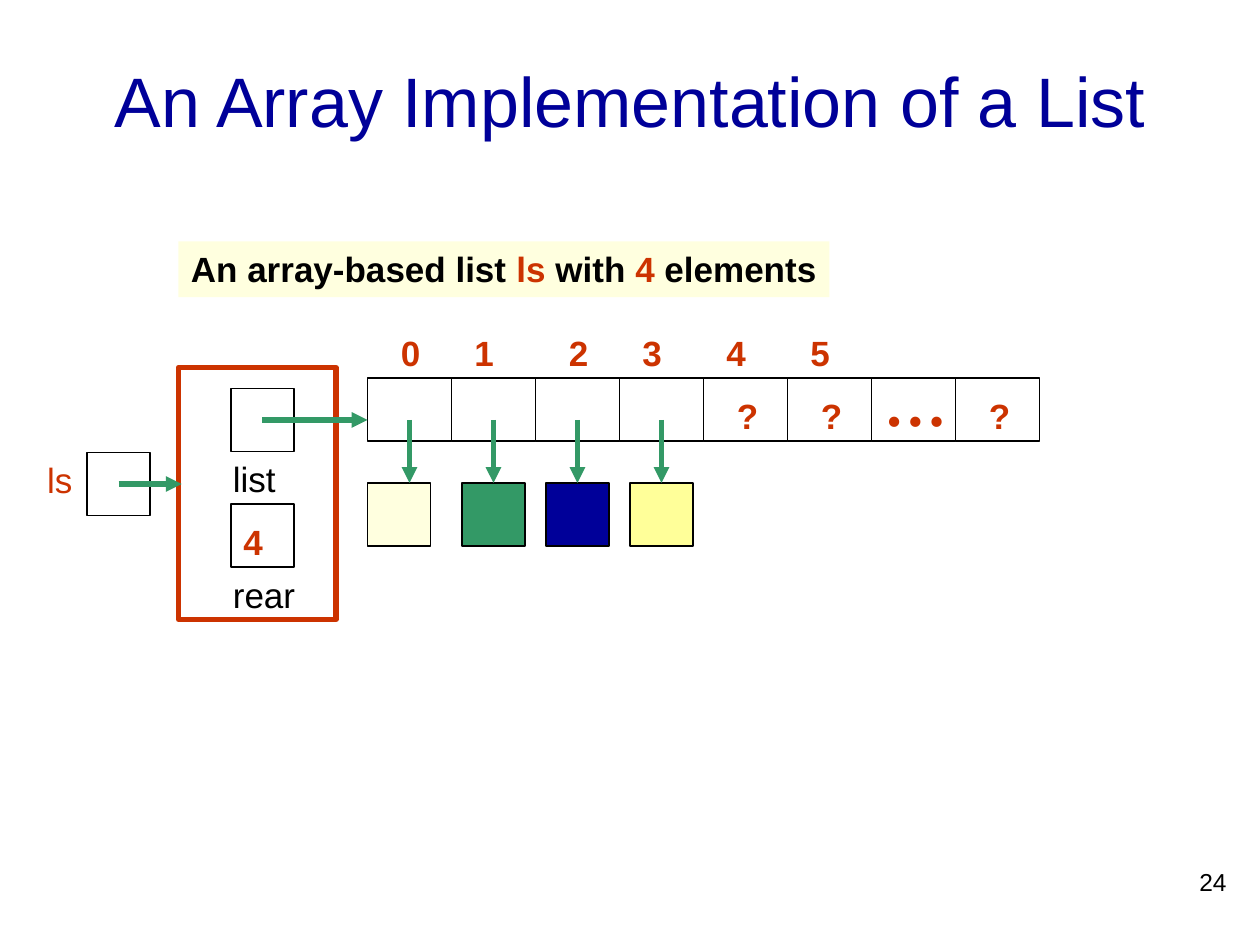
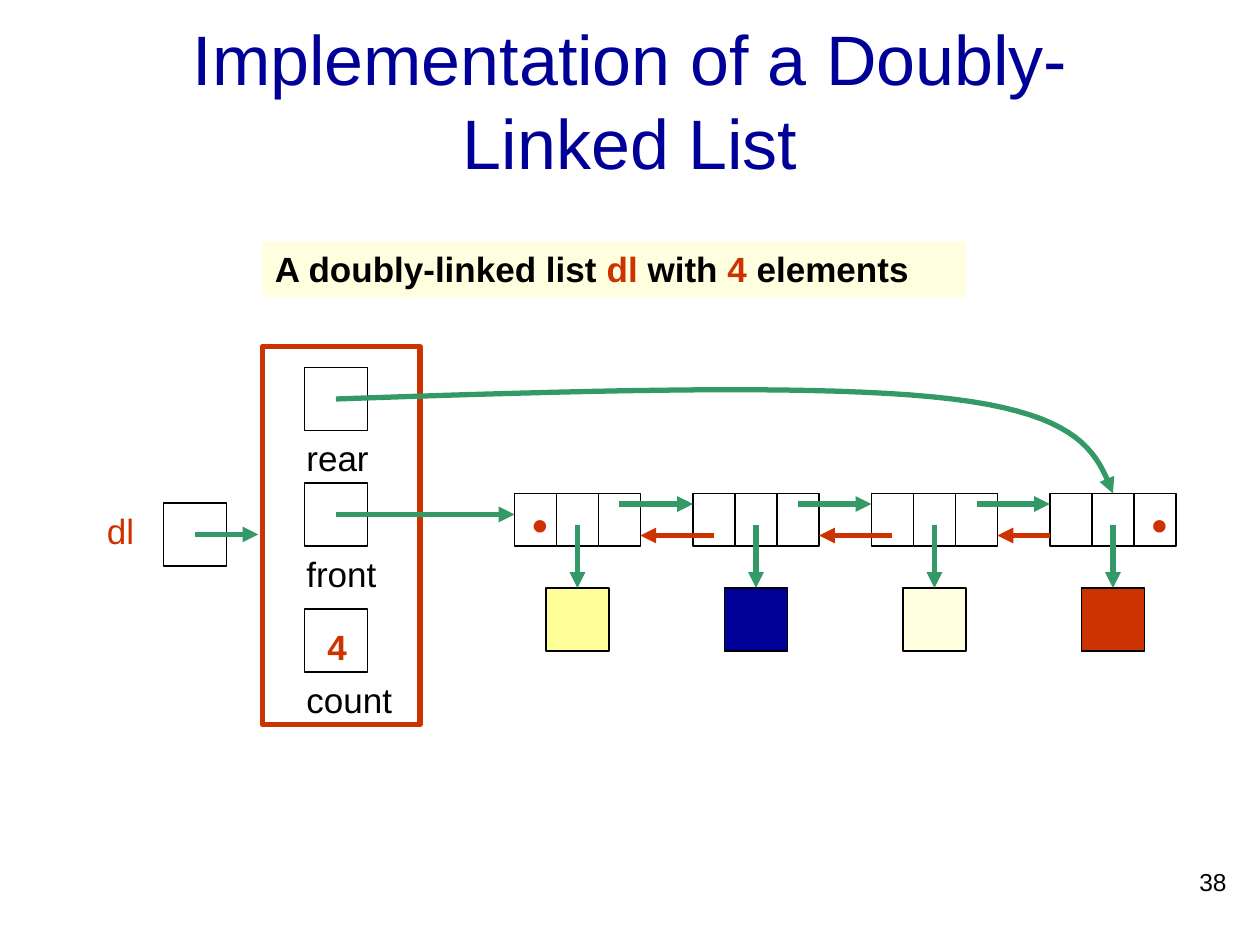
from dataclasses import dataclass
from pptx import Presentation, util as u
from pptx.dml.color import RGBColor
from pptx.enum import shapes, text as t
from pptx.oxml.ns import qn
from lxml import etree


@dataclass(frozen=True)
class Theme:
    navy: str = "000099"
    red: str = "CC3300"
    green: str = "339966"
    cream: str = "FFFFDF"
    yellow: str = "FFFF99"
    black: str = "000000"
    sans: str = "Arial"
    serif: str = "Times New Roman"
    title: int = 40
    body: int = 20
    small: int = 14
    dots: int = 36
    point: int = 60
    thin: float = 0.75
    thick: float = 3


th = Theme()
deck = Presentation()
deck.slide_width, deck.slide_height = u.Inches(10), u.Inches(7.5)
unit = deck.slide_width / 120


def put(page, x, y, w, h, text="", fill=None, line=None, width=th.thin, size=th.body,
        font=th.sans, color=th.black, bold=False, align=t.PP_ALIGN.LEFT, anchor=t.MSO_ANCHOR.TOP):
    area = [round(n * unit) for n in (x, y, w, h)]
    if fill or line:
        box = page.shapes.add_shape(shapes.MSO_SHAPE.RECTANGLE, *area)
        box.shadow.inherit = False
    else:
        box = page.shapes.add_textbox(*area)
    if fill:
        box.fill.solid()
        box.fill.fore_color.rgb = RGBColor.from_string(fill)
    else:
        box.fill.background()
    if line:
        box.line.color.rgb = RGBColor.from_string(line)
        box.line.width = u.Pt(width)
    else:
        box.line.fill.background()
    if text:
        frame = box.text_frame
        frame.word_wrap = True
        frame.vertical_anchor = anchor
        para = frame.paragraphs[0]
        para.alignment = align
        for i, part in enumerate(text.split("|")):
            run = para.add_run()
            run.text = part
            run.font.name, run.font.size, run.font.bold = font, u.Pt(size), bold
            run.font.color.rgb = RGBColor.from_string(th.red if i % 2 else color)


def wire(page, *dots, color=th.green):
    spots = [(round(x * unit), round(y * unit)) for x, y in dots]
    if len(spots) == 2:
        item = page.shapes.add_connector(shapes.MSO_CONNECTOR.STRAIGHT, *spots[0], *spots[1])
    else:
        pen = page.shapes.build_freeform(*spots[0])
        pen.add_line_segments(spots[1:], close=False)
        item = pen.convert_to_shape()
        item.fill.background()
    item.line.color.rgb = RGBColor.from_string(color)
    item.line.width = u.Pt(th.thick)
    etree.SubElement(item.line._ln, qn("a:tailEnd"), type="triangle")
    etree.SubElement(item._element.spPr, qn("a:effectLst"))


pages = []
heads = [
    ("An Array Implementation of a List", "An array-based list |ls| with |4| elements", 17, 62, "24"),
    ("Implementation of a Doubly-Linked List", "A doubly-linked list |dl| with |4| elements", 25, 67, "38"),
]
for title, note, left, wide, num in heads:
    page = deck.slides.add_slide(deck.slide_layouts[6])
    put(page, 9, 2, 102, 15, title, size=th.title, color=th.navy,
        align=t.PP_ALIGN.CENTER, anchor=t.MSO_ANCHOR.MIDDLE)
    put(page, left, 23, wide, 5.3, note, fill=th.cream, bold=True)
    put(page, 93, 82, 25, 6, num, size=th.small, align=t.PP_ALIGN.RIGHT)
    pages.append(page)
array, chain = pages

frames = [
    (array, 17, 35, 24, 22, [("list", 37), ("rear", 48)], (22, 49)),
    (chain, 25, 33, 36, 29, [("rear", 35), ("front", 46), ("count", 58)], (30, 59)),
]
for page, x, y, h, col, slots, count in frames:
    put(page, x, y, 15, h, line=th.red, width=th.thick)
    for name, top in slots:
        put(page, col, top, 6, 6, line=th.black)
        put(page, col - 1, top + 6, 11, 5.3, name)
    put(page, *count, 4.7, 5.3, "4", color=th.red, bold=True)

for page, name, x, y, wide in [(array, "ls", 8.3, 43.1, 5), (chain, "dl", 15.6, 47.9, 6.6)]:
    put(page, x, y, 6, 6, line=th.black)
    put(page, x - wide, y, wide, 5.3, name, color=th.red)
    wire(page, (x + 3, y + 3), (x + 9, y + 3))

for i in range(8):
    put(array, 35 + 8 * i, 36, 8, 6, line=th.black)
for i in (4, 5, 7):
    put(array, 37 + 8 * i, 37, 4.7, 5.3, "?", color=th.red, bold=True)
put(array, 83, 34, 8, 8.4, "…", size=th.dots, font=th.serif, color=th.red, bold=True)
for i, x in enumerate((37, 44, 53, 60, 68, 76)):
    put(array, x, 31, 5, 5.3, str(i), color=th.red, bold=True)
for i, (x, fill) in enumerate(zip((35, 44, 52, 60), (th.cream, th.green, th.navy, th.yellow))):
    put(array, x, 46, 6, 6, fill=fill, line=th.black)
    wire(array, (39 + 8 * i, 40), (39 + 8 * i, 46))
wire(array, (25, 40), (35, 40))

nodes = [49 + 17 * i for i in range(4)]
for x, fill in zip(nodes, (th.yellow, th.navy, th.cream, th.red)):
    for i in range(3):
        put(chain, x + 4 * i, 47, 4, 5, line=th.black)
    put(chain, x + 3, 56, 6, 6, fill=fill, line=th.black)
    wire(chain, (x + 6, 50), (x + 6, 56))
for x, start in zip(nodes, (68, 85, 100)):
    wire(chain, (x + 10, 48), (x + 17, 48))
    wire(chain, (start, 51), (x + 12, 51), color=th.red)
for x in (nodes[0], nodes[-1] + 8):
    put(chain, x, 40, 4, 13.2, ".", size=th.point, font=th.serif, color=th.red)
wire(chain, (32, 49), (49, 49))

curve = [(32, 38)]
for bend in [((32, 38), (55.2, 37.2), (78.4, 36.5), (90.7, 38)),
             ((90.7, 38), (103, 39.5), (104.5, 43.2), (106, 47))]:
    for step in range(1, 21):
        s = step / 20
        share = ((1 - s) ** 3, 3 * s * (1 - s) ** 2, 3 * s * s * (1 - s), s ** 3)
        curve.append(tuple(sum(k * p[axis] for k, p in zip(share, bend)) for axis in (0, 1)))
wire(chain, *curve)

deck.save("out.pptx")
